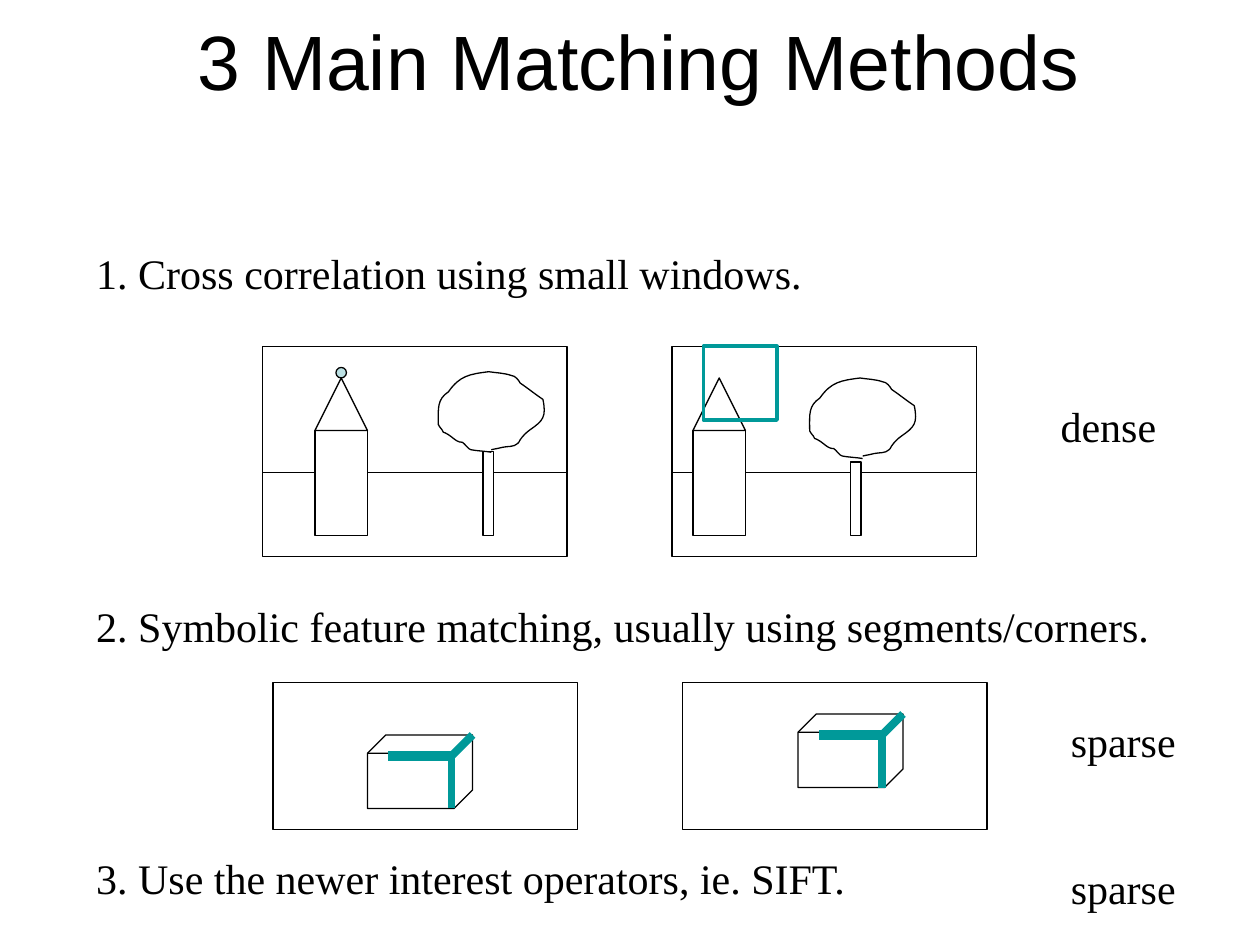
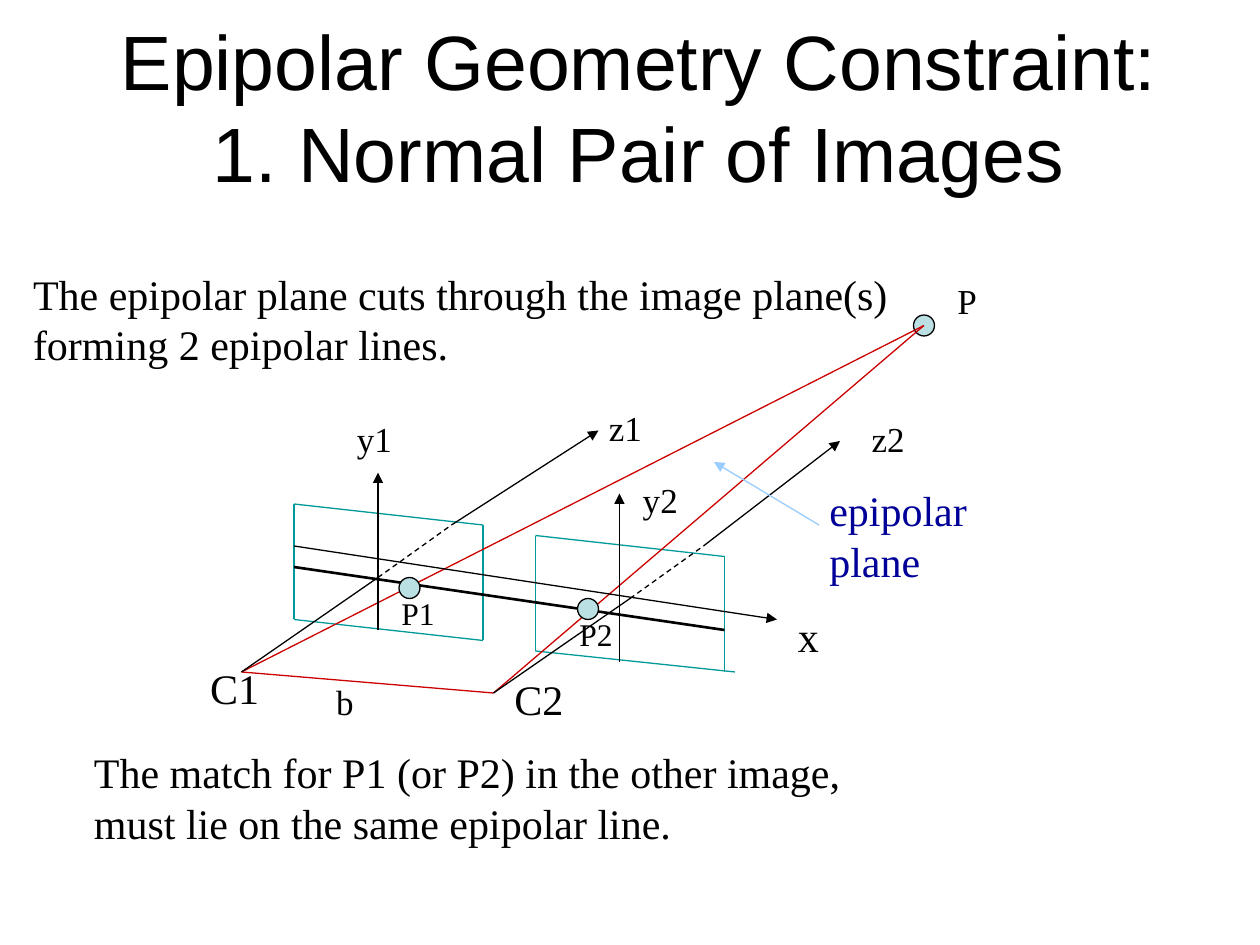
import dataclasses

import lxml.etree
import pptx
import pptx.dml.color
import pptx.enum.dml
import pptx.enum.shapes
import pptx.enum.text
import pptx.oxml.ns
import pptx.util

Pt = pptx.util.Pt
qn = pptx.oxml.ns.qn
PRESET = pptx.enum.shapes.MSO_SHAPE
ALIGN = pptx.enum.text.PP_ALIGN
Point = tuple[float, float]

# Shared look
COLORS = {
    "black": "000000", "teal": "009999", "pale": "BBE0E3",
    "red": "CC0000", "navy": "000099", "sky": "99CCFF",
}
TITLE_FONT, BODY_FONT = "Arial", "Times New Roman"
THIN = 0.75
LEADING = 1.2

# Tree crown: a start point, then three Bezier points for each curve
CROWN: list[Point] = [
    (31, 46),
    (27.4, 45.4), (23.8, 45.4), (19.4, 44.6),
    (18, 44.6), (15.8, 41), (14.4, 40.3),
    (13.7, 40.3), (12.2, 40.3), (11.5, 39.6),
    (10.1, 38.9), (8.6, 37.4), (6.5, 36),
    (5.8, 35.3), (3.6, 34.6), (3.6, 34.6),
    (2.9, 32.4), (0, 31), (0.7, 28.8),
    (0.7, 20.9), (0, 15.8), (6.5, 11.5),
    (13, 2.2), (18.7, 1.4), (29.5, 0),
    (33.8, 0.7), (38.2, 0.7), (42.5, 2.2),
    (44.6, 2.2), (46.8, 5), (47.5, 6.5),
    (51.8, 9.4), (56.2, 13), (60.5, 15.8),
    (62.6, 25.9), (60.5, 28.1), (53.3, 33.1),
    (51.1, 34.6), (49, 36.7), (47.5, 38.9),
    (46.8, 39.6), (46.8, 41), (46.1, 41),
    (43.9, 43.2), (40.3, 42.5), (37.4, 43.2),
    (35.3, 43.9), (33.8, 43.9), (31, 44.6),
]


@dataclasses.dataclass(frozen=True)
class Scene:
    """A house and a tree in front of a horizon."""
    frame_left: float
    house_left: float
    trunk_left: float
    trunk_top: float
    crown: Point


@dataclasses.dataclass(frozen=True)
class BoxView:
    """A cube with marked edges inside a frame."""
    frame_left: float
    cube: Point


@dataclasses.dataclass(frozen=True)
class Label:
    text: str
    left: float
    top: float
    width: float
    size: float = 24
    color: str = "black"


@dataclasses.dataclass(frozen=True)
class Stroke:
    start: Point
    end: Point
    color: str = "black"
    weight: float = THIN
    arrow: bool = False
    dashed: bool = False


SCENES = [
    Scene(150, 180, 276, 258, (249.8, 212.4)),
    Scene(384, 396, 486, 264, (462, 216)),
]
BOX_VIEWS = [BoxView(156, (210, 420)), BoxView(390, (456, 408))]


def rgb(name: str) -> pptx.dml.color.RGBColor:
    return pptx.dml.color.RGBColor.from_string(COLORS[name])


def add_text(slide, text: str, left: float, top: float, width: float, *,
             height: float = 0, size: float = 24, font: str = BODY_FONT,
             color: str = "black", align=ALIGN.LEFT, right_inset: float = 0,
             gaps: tuple = ()) -> None:
    """One paragraph a line; gaps holds the space before each later one."""
    lines = text.split("\n")
    height = height or len(lines) * size * LEADING + sum(gaps) + 7.2
    box = slide.shapes.add_textbox(Pt(left), Pt(top), Pt(width), Pt(height))
    frame = box.text_frame
    frame.word_wrap = True
    frame.margin_top = Pt(3.4)
    frame.margin_right = Pt(right_inset)
    for index, line in enumerate(lines):
        paragraph = frame.paragraphs[0] if index == 0 else frame.add_paragraph()
        paragraph.text = line
        paragraph.alignment = align
        paragraph.line_spacing = Pt(size * LEADING)
        if 0 < index <= len(gaps):
            paragraph.space_before = Pt(gaps[index - 1])
        paragraph.font.size = Pt(size)
        paragraph.font.name = font
        paragraph.font.color.rgb = rgb(color)


def add_title(slide, text: str) -> None:
    add_text(slide, text, 25, 4.3, 680.4, height=113, size=44,
             font=TITLE_FONT, align=ALIGN.CENTER, right_inset=7.2)


def add_label(slide, label: Label) -> None:
    add_text(slide, label.text, label.left, label.top, label.width,
             size=label.size, color=label.color)


def style_outline(shape, color: str, weight: float, fill: str = "") -> None:
    shape.shadow.inherit = False
    shape.line.color.rgb = rgb(color)
    shape.line.width = Pt(weight)
    if fill:
        shape.fill.solid()
        shape.fill.fore_color.rgb = rgb(fill)
    else:
        shape.fill.background()


def add_outline(slide, preset, left: float, top: float, width: float,
                height: float, *, color: str = "black", weight: float = THIN,
                fill: str = "") -> None:
    shape = slide.shapes.add_shape(preset, Pt(left), Pt(top), Pt(width), Pt(height))
    style_outline(shape, color, weight, fill)


def add_dot(slide, center: Point, size: float) -> None:
    add_outline(slide, PRESET.OVAL, center[0] - size / 2, center[1] - size / 2,
                size, size, fill="pale")


def add_stroke(slide, stroke: Stroke) -> None:
    connector = slide.shapes.add_connector(
        pptx.enum.shapes.MSO_CONNECTOR.STRAIGHT,
        *(Pt(value) for value in stroke.start + stroke.end))
    connector.line.color.rgb = rgb(stroke.color)
    connector.line.width = Pt(stroke.weight)
    if stroke.dashed:
        connector.line.dash_style = pptx.enum.dml.MSO_LINE.DASH
    properties = connector._element.spPr
    if stroke.arrow:
        line = properties.find(qn("a:ln"))
        lxml.etree.SubElement(line, qn("a:tailEnd"), type="triangle")
    lxml.etree.SubElement(properties, qn("a:effectLst"))


def add_crown(slide, origin: Point) -> None:
    points = [(Pt(origin[0] + x), Pt(origin[1] + y)) for x, y in CROWN]
    builder = slide.shapes.build_freeform(*points[0])
    builder.add_line_segments(points[1:], close=False)
    shape = builder.convert_to_shape()
    style_outline(shape, "black", THIN)
    # Turn every three line segments into one curve
    outline = next(shape._element.iter(qn("a:path")))
    segments = outline.findall(qn("a:lnTo"))
    for first in range(0, len(segments), 3):
        curve = lxml.etree.SubElement(outline, qn("a:cubicBezTo"))
        for segment in segments[first:first + 3]:
            curve.append(segment[0])
            outline.remove(segment)


def add_scene(slide, scene: Scene) -> None:
    width, house_width, trunk_width = 174, 30, 6
    ground, horizon = 306, 270
    house, trunk = scene.house_left, scene.trunk_left
    add_outline(slide, PRESET.RECTANGLE, scene.frame_left, 198, width, 120)
    # The horizon is hidden behind the house and the trunk
    for start, end in ((scene.frame_left, house),
                       (house + house_width, trunk),
                       (trunk + trunk_width, scene.frame_left + width)):
        add_stroke(slide, Stroke((start, horizon), (end, horizon)))
    add_crown(slide, scene.crown)
    add_outline(slide, PRESET.RECTANGLE, trunk, scene.trunk_top, trunk_width,
                ground - scene.trunk_top)
    add_outline(slide, PRESET.RECTANGLE, house, 246, house_width, ground - 246)
    add_outline(slide, PRESET.ISOSCELES_TRIANGLE, house, 216, house_width, 30)


def add_box_view(slide, view: BoxView) -> None:
    x, y = view.cube
    corner = (x + 48, y + 12)
    add_outline(slide, PRESET.RECTANGLE, view.frame_left, 390, 174, 84)
    add_outline(slide, PRESET.CUBE, x, y, 60, 42)
    add_stroke(slide, Stroke((x + 12, y + 12), corner, "teal", 6))
    for end in ((x + 60, y), (x + 48, y + 42)):
        add_stroke(slide, Stroke(corner, end, "teal", 4.5))


def add_image_plane(slide, left: float, top: float, overshoot: float = 0) -> None:
    """A slanted frame whose lower edge may run past its corner."""
    width, height, drop = 108, 66, 12
    right, bottom = left + width, top + height
    for start, end in (((left, top), (left, bottom)),
                       ((left, top), (right, top + drop)),
                       ((right, top + drop), (right, bottom + drop)),
                       ((left, bottom), (right + overshoot, bottom + drop))):
        add_stroke(slide, Stroke(start, end, "teal"))


def build_methods(slide) -> None:
    add_title(slide, "3 Main Matching Methods")
    line = 24 * LEADING
    add_text(slide,
             "1. Cross correlation using small windows.\n"
             "2. Symbolic feature matching, usually using segments/corners.\n"
             "3. Use the newer interest operators, ie. SIFT.",
             47.9, 138.2, 616.3, gaps=(6 * line, 4 * line))
    for scene in SCENES:
        add_scene(slide, scene)
    add_dot(slide, (195, 213), 6)
    add_outline(slide, PRESET.RECTANGLE, 402, 198, 42, 42, color="teal", weight=2.25)
    for view in BOX_VIEWS:
        add_box_view(slide, view)
    for label in (Label("dense", 599, 225.4, 69.1),
                  Label("sparse", 604.8, 405.4, 74.2),
                  Label("sparse", 604.8, 489.6, 74.2)):
        add_label(slide, label)


def build_epipolar(slide) -> None:
    add_title(slide, "Epipolar Geometry Constraint:\n1. Normal Pair of Images")
    add_image_plane(slide, 168, 288)
    add_image_plane(slide, 306, 306, overshoot=6)

    # Epipolar plane: scene point and both camera centres
    scene_point, camera_1, camera_2 = (528, 186), (138, 384), (282, 396)
    add_dot(slide, scene_point, 12)
    for start, end in ((scene_point, camera_1), (scene_point, camera_2),
                       (camera_1, camera_2)):
        add_stroke(slide, Stroke(start, end, "red"))

    # Axes and epipolar line
    add_stroke(slide, Stroke((168, 312), (444, 354), arrow=True))
    add_stroke(slide, Stroke((168, 324), (414, 360), weight=1.5))
    for camera, center, exit_point, tip in (
            (camera_1, (216, 330), (258, 300), (342, 246)),
            (camera_2, (360, 342), (402, 312), (480, 252))):
        add_stroke(slide, Stroke(camera, center))
        add_stroke(slide, Stroke(center, exit_point, dashed=True))
        add_stroke(slide, Stroke(exit_point, tip, arrow=True))
    add_stroke(slide, Stroke((216, 360), (216, 270), arrow=True))
    add_stroke(slide, Stroke((354, 378), (354, 282), arrow=True))
    for image_point in ((234, 336), (336, 348)):
        add_dot(slide, image_point, 12)
    add_stroke(slide, Stroke((468, 300), (408, 264), "sky", arrow=True))

    # Labels and sentences
    for label in (
            Label("x", 448.8, 345.6, 25.9),
            Label("y1", 196.8, 235.4, 34.6, 20),
            Label("y2", 360.2, 270, 34.6, 20),
            Label("z1", 340.8, 229, 33.1, 20),
            Label("z2", 491, 235.4, 33.1, 20),
            Label("C1", 113, 375.1, 42.5),
            Label("C2", 286.8, 381.6, 42.5),
            Label("b", 185, 385.2, 24.5, 20),
            Label("P", 540, 156.2, 25.2, 20),
            Label("P1", 222.3, 336.2, 33.1, 18),
            Label("P2", 324, 347.8, 33.1, 18),
            Label("epipolar\nplane", 466.8, 273.6, 92.9, color="navy"),
            Label("The epipolar plane cuts through the image plane(s)\n"
                  "forming 2 epipolar lines.", 11.8, 149.8, 502.6),
            Label("The match for P1 (or P2) in the other image,\n"
                  "must lie on the same epipolar line.", 46.6, 423.4, 447.1)):
        add_label(slide, label)


def main() -> None:
    presentation = pptx.Presentation()
    presentation.slide_width, presentation.slide_height = Pt(720), Pt(540)
    for build in (build_methods, build_epipolar):
        build(presentation.slides.add_slide(presentation.slide_layouts[6]))
    presentation.save("out.pptx")


if __name__ == "__main__":
    main()
